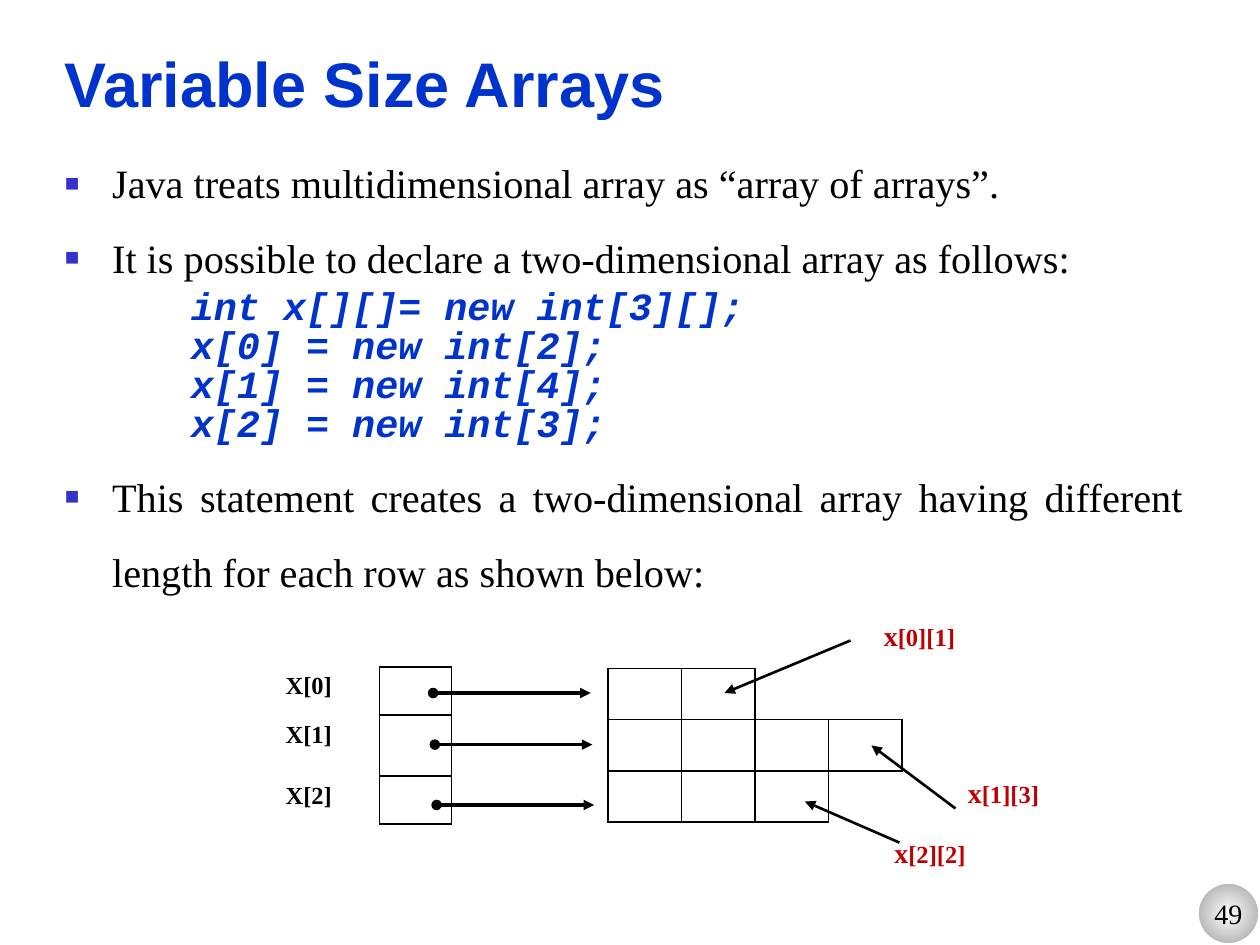
from lxml import etree
from pptx import Presentation
from pptx.dml.color import RGBColor
from pptx.enum.shapes import MSO_CONNECTOR, MSO_SHAPE
from pptx.enum.text import MSO_ANCHOR, PP_ALIGN
from pptx.oxml import parse_xml
from pptx.oxml.ns import nsdecls, qn
from pptx.util import Pt

STRAIGHT = MSO_CONNECTOR.STRAIGHT
OVAL = MSO_SHAPE.OVAL
TOP, MIDDLE, BOTTOM = MSO_ANCHOR.TOP, MSO_ANCHOR.MIDDLE, MSO_ANCHOR.BOTTOM
LEFT, CENTER, JUSTIFY = PP_ALIGN.LEFT, PP_ALIGN.CENTER, PP_ALIGN.JUSTIFY

COLORS = {
    "black": "000000",
    "white": "FFFFFF",
    "grey": "979797",
    "blue": "0033CC",
    "bullet": "3333CC",
    "red": "C00000",
}
SERIF, SANS, MONO = "Times New Roman", "Arial", "Courier New"
SIDES = {"lnL": (0, -1), "lnR": (0, 1), "lnT": (-1, 0), "lnB": (1, 0)}


def rgb(name):
    return RGBColor.from_string(COLORS[name])


class SlideBuilder:
    def __init__(self, slide):
        self.slide = slide

    def style(self, span, size, font=SERIF, color="black", bold=False, italic=False):
        span.font.size = Pt(size)
        span.font.name = font
        span.font.color.rgb = rgb(color)
        span.font.bold = bold
        span.font.italic = italic

    def text_box(self, left, top, width, height, anchor=TOP):
        box = self.slide.shapes.add_textbox(Pt(left), Pt(top), Pt(width), Pt(height))
        frame = box.text_frame
        frame.word_wrap = True
        frame.vertical_anchor = anchor
        return frame

    def title(self, text):
        frame = self.text_box(30, 18, 654, 54, BOTTOM)
        frame.text = text
        self.style(frame.paragraphs[0].runs[0], 36, SANS, "blue", bold=True)

    def bullet(self, para, text):
        para.text = text
        para.alignment = JUSTIFY
        para.line_spacing = 1.55
        properties = para._p.get_or_add_pPr()
        properties.set("marL", str(Pt(27)))
        properties.set("indent", str(Pt(-27)))
        for xml in (
            f'<a:buClr {nsdecls("a")}><a:srgbClr val="{COLORS["bullet"]}"/></a:buClr>',
            f'<a:buSzPct {nsdecls("a")} val="60000"/>',
            f'<a:buFont {nsdecls("a")} typeface="{SANS}"/>',
            f'<a:buChar {nsdecls("a")} char="■"/>',
        ):
            properties.append(parse_xml(xml))
        self.style(para.runs[0], 23)

    def code(self, para, text, space_before):
        para.text = text
        para.alignment = LEFT
        para.line_spacing = 0.85
        para.space_before = Pt(space_before)
        para._p.get_or_add_pPr().set("marL", str(Pt(72)))
        self.style(para.runs[0], 22, MONO, "blue", bold=True, italic=True)

    def body(self, blocks):
        frame = self.text_box(30, 72, 654, 426)
        para = frame.paragraphs[0]
        for index, (statement, code_lines) in enumerate(blocks):
            if index:
                para = frame.add_paragraph()
            self.bullet(para, statement)
            for number, line in enumerate(code_lines):
                self.code(frame.add_paragraph(), line, 0 if number else 4)

    def table(self, left, top, widths, heights, boxed, labels=()):
        shape = self.slide.shapes.add_table(
            len(heights), len(widths), Pt(left), Pt(top), Pt(sum(widths)), Pt(sum(heights)))
        table = shape.table
        table.first_row = False
        table.horz_banding = False
        for column, width in zip(table.columns, widths):
            column.width = Pt(width)
        for row, height in enumerate(heights):
            table.rows[row].height = Pt(height)
            for column in range(len(widths)):
                cell = table.cell(row, column)
                cell.margin_bottom = 0
                cell.margin_top = Pt(3.6 if labels else 0)
                if labels and column == 0:
                    cell.text = labels[row]
                    self.style(cell.text_frame.paragraphs[0].runs[0], 14, bold=True)
                elif labels:
                    cell.margin_top = 0
                cell.fill.background()
                self.borders(cell, row, column, boxed)

    def borders(self, cell, row, column, boxed):
        properties = cell._tc.get_or_add_tcPr()
        for position, (side, (down, across)) in enumerate(SIDES.items()):
            visible = (row, column) in boxed or (row + down, column + across) in boxed
            fill = f'<a:solidFill><a:srgbClr val="{COLORS["black"]}"/></a:solidFill>'
            xml = f'<a:{side} {nsdecls("a")} w="{Pt(1)}">{fill if visible else "<a:noFill/>"}</a:{side}>'
            properties.insert(position, parse_xml(xml))

    def arrow(self, start, end, width, from_dot=False):
        line = self.slide.shapes.add_connector(STRAIGHT, *(Pt(value) for value in start + end))
        line.line.color.rgb = rgb("black")
        line.line.width = Pt(width)
        outline = line.line._get_or_add_ln()
        if from_dot:
            etree.SubElement(outline, qn("a:headEnd"), type="oval")
        etree.SubElement(outline, qn("a:tailEnd"), type="triangle")
        etree.SubElement(line._element.spPr, qn("a:effectLst"))

    def element_label(self, left, top, index):
        frame = self.text_box(left, top, 72, 30, MIDDLE)
        para = frame.paragraphs[0]
        for text, size in (("x", 16), (index, 14)):
            span = para.add_run()
            span.text = text
            self.style(span, size, color="red", bold=True)

    def page_number(self, text):
        badge = self.slide.shapes.add_shape(OVAL, Pt(684), Pt(504), Pt(36), Pt(36))
        badge.shadow.inherit = False
        badge.fill.gradient()
        for stop, color in zip(badge.fill.gradient_stops, ("white", "grey")):
            stop.color.rgb = rgb(color)
        linear = badge._element.spPr.find(".//" + qn("a:lin"))
        linear.getparent().replace(linear, parse_xml(
            f'<a:path {nsdecls("a")} path="circle">'
            '<a:fillToRect l="50000" t="50000" r="50000" b="50000"/></a:path>'))
        badge.line.color.rgb = rgb("white")
        badge.line.width = Pt(2)
        frame = badge.text_frame
        frame.text = text
        frame.word_wrap = False
        frame.vertical_anchor = MIDDLE
        frame.paragraphs[0].alignment = CENTER
        self.style(frame.paragraphs[0].runs[0], 16)


def main():
    deck = Presentation()
    deck.slide_width, deck.slide_height = Pt(720), Pt(540)
    page = SlideBuilder(deck.slides.add_slide(deck.slide_layouts[6]))

    page.page_number("49")
    page.title("Variable Size Arrays")
    page.body([
        ("Java treats multidimensional array as “array of arrays”.", []),
        ("It is possible to declare a two-dimensional array as follows:", [
            "int x[][]= new int[3][];",
            "x[0] = new int[2];",
            "x[1] = new int[4];",
            "x[2] = new int[3];",
        ]),
        ("This statement creates a two-dimensional array having different "
         "length for each row as shown below:", []),
    ])

    row_lengths = [2, 4, 3]
    references = {(row, 1) for row in range(3)}
    elements = {(row, column) for row, length in enumerate(row_lengths) for column in range(length)}
    page.table(156, 381, [61, 41], [27.5, 35, 27.5], references, ["X[0]", "X[1]", "X[2]"])
    page.table(347.5, 382, [42] * 4, [29.25] * 3, elements)

    for left, top in ((247.5, 396), (248.5, 425.5), (249.5, 460)):
        page.arrow((left, top), (left + 90, top), 2, from_dot=True)
    for start, end in (
        ((486, 366), (414, 396)),
        ((546, 462), (498, 426)),
        ((514, 481.5), (460, 458)),
    ):
        page.arrow(start, end, 1.5)
    for left, top, index in ((498, 348, "[0][1]"), (504, 472, "[2][2]"), (546, 438, "[1][3]")):
        page.element_label(left, top, index)

    deck.save("out.pptx")


if __name__ == "__main__":
    main()
